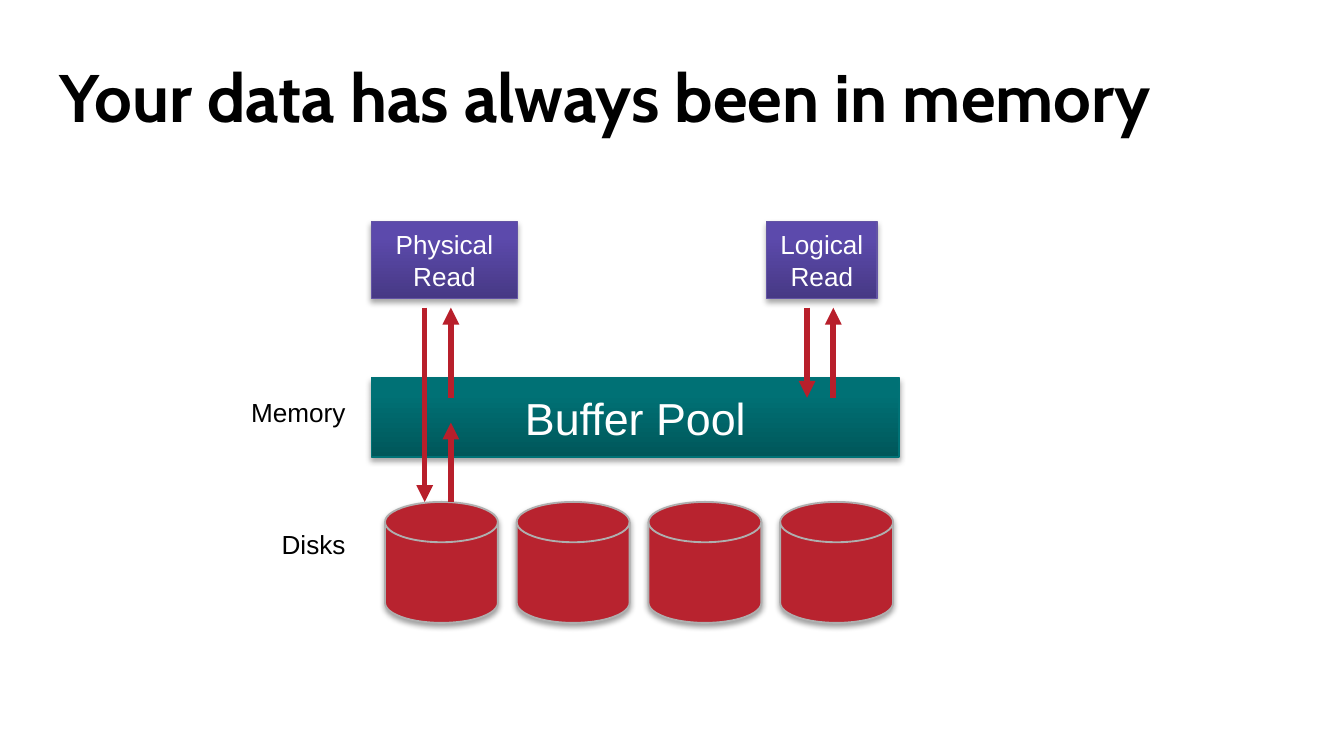
from copy import deepcopy

from lxml.etree import SubElement
from pptx import Presentation
from pptx.dml.color import RGBColor
from pptx.enum.shapes import MSO_CONNECTOR, MSO_SHAPE
from pptx.enum.text import MSO_ANCHOR, PP_ALIGN
from pptx.oxml.ns import qn
from pptx.util import Pt

PX = 4572  # 200 px to the inch
COLORS = {
    "black": "000000", "white": "FFFFFF",
    "disk": "B8232F", "disk_line": "AFAFAF", "arrow": "B81F2B",
    "pool_line": "007276", "read_line": "6354A4",
}
GRADIENTS = {
    "pool": ("00575A", "007175", "007276"),
    "read": ("473985", "5C4AAC", "5B48AF"),
}
RGB = {name: RGBColor.from_string(value) for name, value in COLORS.items()}

prs = Presentation()
prs.slide_width, prs.slide_height = 2000 * PX, 1125 * PX
s = prs.slides.add_slide(prs.slide_layouts[6])


def add_block(kind, box, line, width, alpha, dist):
    """Add an outlined shape with a soft shadow below it."""
    sp = s.shapes.add_shape(kind, *[v * PX for v in box])
    sp.line.color.rgb = RGB[line]
    sp.line.width = Pt(width)
    sp.shadow.inherit = False
    effects = sp._element.spPr.find(qn("a:effectLst"))
    shadow = SubElement(effects, qn("a:outerShdw"), blurRad="40000",
                        dist=str(dist), dir="5400000", rotWithShape="0")
    color = SubElement(shadow, qn("a:srgbClr"), val=COLORS["black"])
    SubElement(color, qn("a:alpha"), val=str(alpha * 1000))
    return sp


def write(sp, lines, size, color, align, font="Arial"):
    """Fill a shape with one paragraph per line."""
    tf = sp.text_frame
    tf.text = "\n".join(lines)
    for p in tf.paragraphs:
        p.alignment = align
        p.font.name, p.font.size = font, Pt(size)
        p.font.color.rgb = RGB[color]
    return tf


# Title
sp = s.shapes.add_textbox(69 * PX, 96 * PX, 1844 * PX, 134 * PX)
tf = write(sp, ["Your data has always been in memory"], 36, "black",
           PP_ALIGN.LEFT, "Cabin")
tf.word_wrap = True
tf.paragraphs[0].font.bold = True
tf.paragraphs[0].line_spacing = Pt(35)

# Disks
for i in range(4):
    sp = add_block(MSO_SHAPE.FLOWCHART_MAGNETIC_DISK,
                   (573 + 196 * i, 747, 168, 180), "disk_line", 1, 38, 20000)
    sp.fill.solid()
    sp.fill.fore_color.rgb = RGB["disk"]

# Row labels
for label, top in (("Memory", 580), ("Disks", 777)):
    sp = s.shapes.add_textbox(338 * PX, top * PX, 196 * PX, 68 * PX)
    write(sp, [label], 14, "black", PP_ALIGN.RIGHT).word_wrap = True

# Buffer pool and the two kinds of read
for lines, box, style, size in (
    (["Buffer Pool"], (553, 562, 785, 118), "pool", 24),
    (["Physical", "Read"], (553, 330, 217, 114), "read", 14),
    (["Logical", "Read"], (1141, 330, 164, 114), "read", 14),
):
    sp = add_block(MSO_SHAPE.RECTANGLE, box, style + "_line", 0.75, 35, 23000)
    sp.fill.gradient()
    sp.fill.gradient_angle = 90
    stops = sp._element.spPr.find(".//" + qn("a:gsLst"))
    stops.append(deepcopy(stops[-1]))
    for stop, position, color in zip(sp.fill.gradient_stops, (0, 0.8, 1),
                                     GRADIENTS[style]):
        stop.position = position
        stop.color.rgb = RGBColor.from_string(color)
    tf = write(sp, lines, size, "white", PP_ALIGN.CENTER)
    tf.word_wrap = False
    tf.vertical_anchor = MSO_ANCHOR.MIDDLE

# Arrows: x, start y, end y
for x, start, end in (
    (632, 458, 747), (671, 747, 629), (671, 592, 458),
    (1240, 592, 458), (1201, 458, 592),
):
    arrow = s.shapes.add_connector(MSO_CONNECTOR.STRAIGHT, x * PX, start * PX,
                                   x * PX, end * PX)
    arrow.line.color.rgb = RGB["arrow"]
    arrow.line.width = Pt(3)
    props = arrow._element.spPr
    SubElement(props.find(qn("a:ln")), qn("a:tailEnd"), type="triangle")
    SubElement(props, qn("a:effectLst"))

prs.save("out.pptx")
